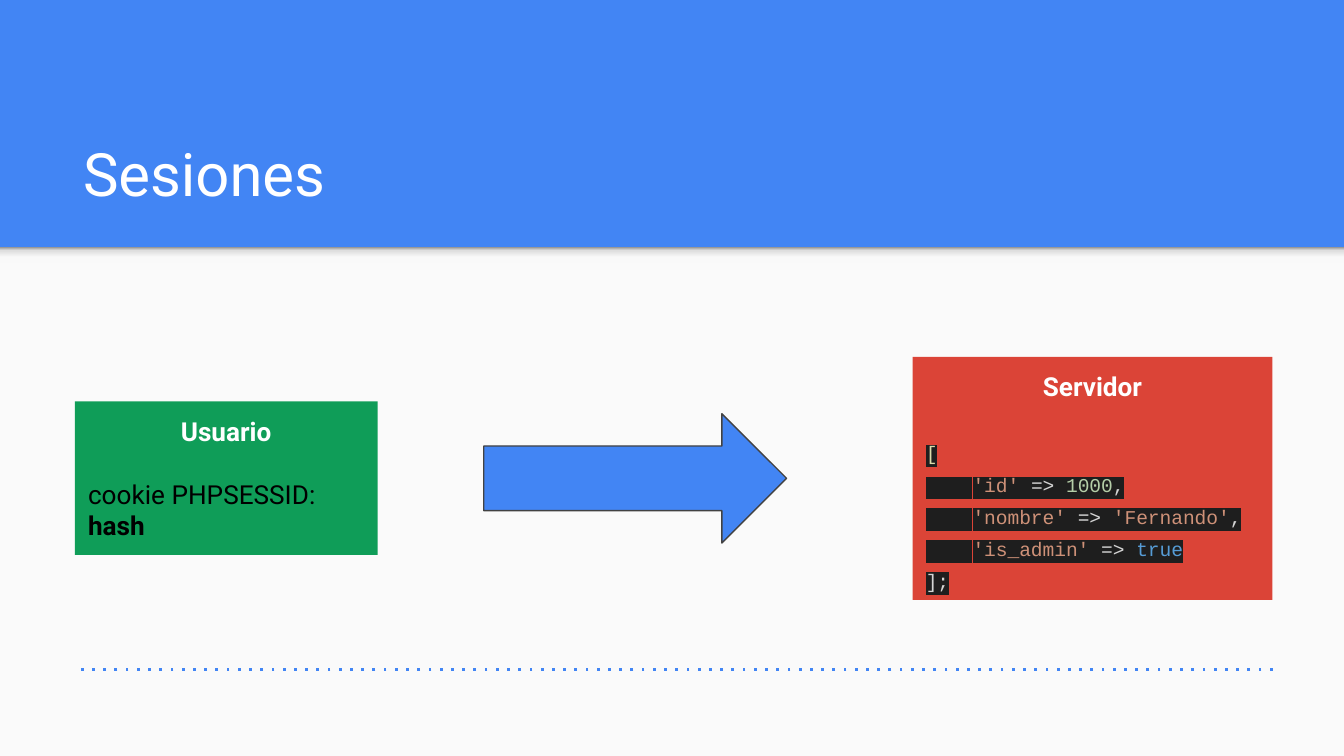
"""Build the "Sesiones" slide: a user's session cookie pointing to the data on the server."""
from copy import deepcopy
from dataclasses import dataclass

from lxml import etree
from pptx import Presentation
from pptx.dml.color import RGBColor
from pptx.enum import dml, shapes, text
from pptx.oxml.ns import qn
from pptx.util import Pt


@dataclass(frozen=True)
class Theme:
    blue: str = "4285F4"
    paper: str = "FAFAFA"
    green: str = "0F9D58"
    red: str = "DB4437"
    outline: str = "424242"
    white: str = "FFFFFF"
    black: str = "000000"
    code_back: str = "1E1E1E"
    bracket: str = "DCDCAA"
    plain: str = "D4D4D4"
    string: str = "CE9178"
    number: str = "B5CEA8"
    keyword: str = "569CD6"
    title_size: float = 32
    body_size: float = 14
    code_size: float = 10.5
    body_font: str = "Roboto"
    code_font: str = "Courier New"


theme = Theme()
rgb = RGBColor.from_string
prs = Presentation()
prs.slide_width, prs.slide_height = Pt(720), Pt(405)
slide = prs.slides.add_slide(prs.slide_layouts[6])
slide.background.fill.solid()
slide.background.fill.fore_color.rgb = rgb(theme.blue)


def write(paragraph, words, color=theme.white, size=theme.body_size,
          font=theme.body_font, bold=False, highlight=None):
    run = paragraph.add_run()
    run.text = words
    run.font.size, run.font.bold = Pt(size), bold
    run.font.color.rgb = rgb(color)
    if highlight:
        mark = etree.SubElement(run.font._element, qn("a:highlight"))
        etree.SubElement(mark, qn("a:srgbClr"), val=highlight)
    run.font.name = font


def block(kind, left, top, width, height, color, anchor=text.MSO_ANCHOR.TOP):
    shape = slide.shapes.add_shape(kind, Pt(left), Pt(top), Pt(width), Pt(height))
    shape.shadow.inherit = False
    shape.fill.solid()
    shape.fill.fore_color.rgb = rgb(color)
    shape.line.fill.background()
    frame = shape.text_frame
    frame.word_wrap, frame.vertical_anchor = True, anchor
    frame.margin_left = frame.margin_right = frame.margin_top = frame.margin_bottom = Pt(7.2)
    frame.paragraphs[0].alignment = text.PP_ALIGN.LEFT
    return shape


rectangle = shapes.MSO_SHAPE.RECTANGLE
block(rectangle, 0, 132.5, 720, 272.5, theme.paper)

header_shade = block(rectangle, 0, 132.5, 720, 8.6, theme.paper)
header_shade.fill.gradient()
header_shade.fill.gradient_angle = 90
stop_list = header_shade._element.spPr.find(".//" + qn("a:gsLst"))
stop_list.extend([deepcopy(stop) for stop in stop_list])
shades = [(0, "F9F9F9"), (0.36, "F9F9F9"), (0.8, "DEDEDE"), (1, "999999")]
for stop, (position, shade) in zip(header_shade.fill.gradient_stops, shades):
    stop.position = position
    stop.color.rgb = rgb(shade)

title = slide.shapes.add_textbox(Pt(37.4), Pt(58.3), Pt(647.3), Pt(60.5)).text_frame
title.word_wrap, title.vertical_anchor = True, text.MSO_ANCHOR.BOTTOM
title.margin_top = title.margin_bottom = Pt(7.2)
write(title.paragraphs[0], "Sesiones", size=theme.title_size)

footer_rule = slide.shapes.add_connector(
    shapes.MSO_CONNECTOR.STRAIGHT, Pt(681.8), Pt(358.5), Pt(40.3), Pt(358.5))
footer_rule.line.color.rgb = rgb(theme.blue)
footer_rule.line.width = Pt(1.5)
footer_rule.line.dash_style = dml.MSO_LINE.ROUND_DOT
footer_rule._element.spPr.find(".//" + qn("a:prstDash")).set("val", "dot")
etree.SubElement(footer_rule._element.spPr, qn("a:effectLst"))

server = block(rectangle, 488.9, 191.2, 192.8, 130.2, theme.red).text_frame
user = block(rectangle, 40.1, 215.1, 162.2, 82.2, theme.green,
             text.MSO_ANCHOR.MIDDLE).text_frame
for frame, heading in ((server, "Servidor"), (user, "Usuario")):
    frame.paragraphs[0].alignment = text.PP_ALIGN.CENTER
    frame.paragraphs[0].space_after = Pt(16.7)
    write(frame.paragraphs[0], heading, bold=True)

session_code = [
    [("[", theme.bracket)],
    [("    ", theme.plain), ("'id'", theme.string), (" => ", theme.plain),
     ("1000", theme.number), (",", theme.plain)],
    [("    ", theme.plain), ("'nombre'", theme.string), (" => ", theme.plain),
     ("'Fernando'", theme.string), (",", theme.plain)],
    [("    ", theme.plain), ("'is_admin'", theme.string), (" => ", theme.plain),
     ("true", theme.keyword)],
    [("];", theme.plain)],
]
for tokens in session_code:
    code_line = server.add_paragraph()
    code_line.alignment = text.PP_ALIGN.LEFT
    code_line.line_spacing = 1.36
    for token, color in tokens:
        write(code_line, token, color, theme.code_size, theme.code_font,
              highlight=theme.code_back)

cookie = user.add_paragraph()
cookie.alignment = text.PP_ALIGN.LEFT
write(cookie, "cookie PHPSESSID: ", theme.black)
write(cookie, "hash", theme.black, bold=True)

request_arrow = block(shapes.MSO_SHAPE.RIGHT_ARROW, 259.2, 221.6, 162.2, 69.3, theme.blue)
request_arrow.line.color.rgb = rgb(theme.outline)
request_arrow.line.width = Pt(0.75)

prs.save("out.pptx")
